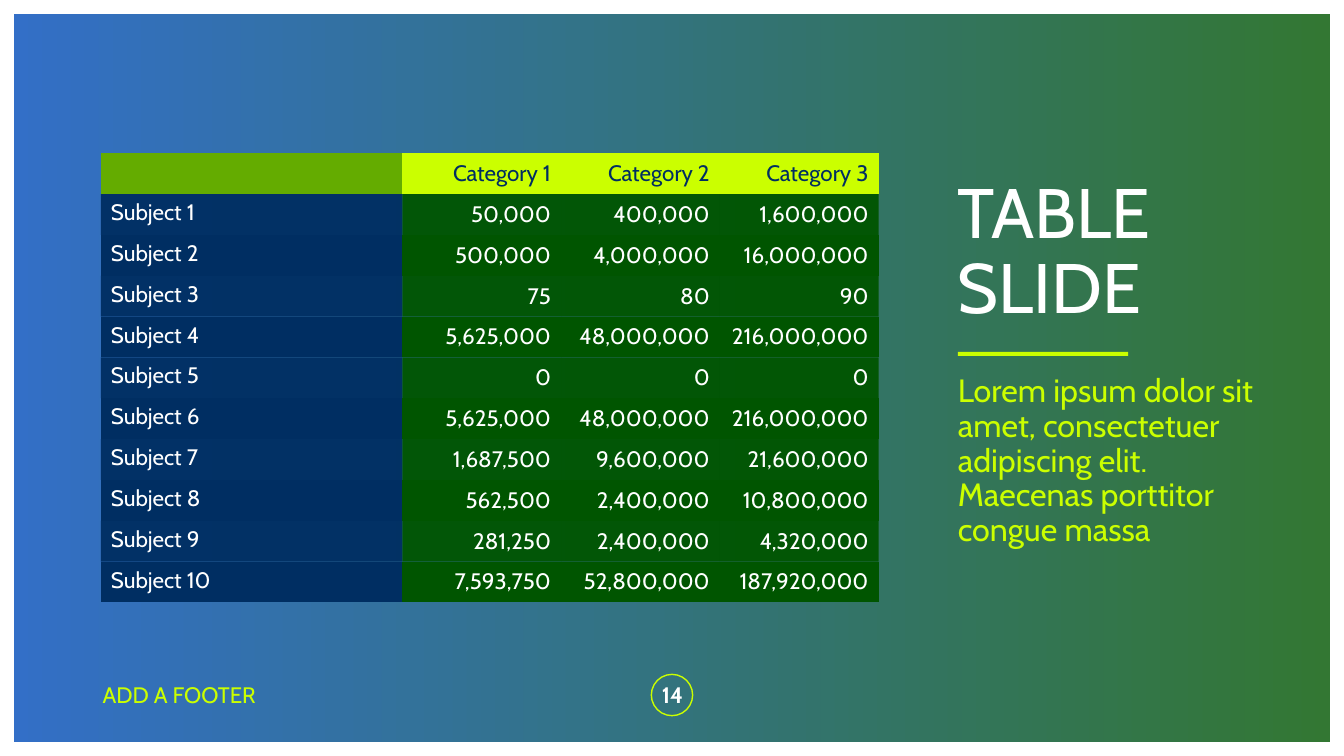
from pptx import Presentation
from pptx.dml.color import RGBColor
from pptx.enum.shapes import MSO_SHAPE as Shape
from pptx.enum.text import MSO_ANCHOR as Anchor, PP_ALIGN as Align
from pptx.oxml.ns import qn
from pptx.util import Inches, Pt
from lxml import etree

COLORS = {"blue": "004CB9", "green": "005500", "navy": "002E62",
          "lime": "CBFF00", "leaf": "64AC00", "white": "FFFFFF"}
NO_TABLE_STYLE = "{2D5ABB26-0587-4C30-8999-92F81FD0307C}"

HEADER = ["", "Category 1", "Category 2", "Category 3"]
VALUES = [
    ["50,000", "400,000", "1,600,000"],
    ["500,000", "4,000,000", "16,000,000"],
    ["75", "80", "90"],
    ["5,625,000", "48,000,000", "216,000,000"],
    ["0", "0", "0"],
    ["5,625,000", "48,000,000", "216,000,000"],
    ["1,687,500", "9,600,000", "21,600,000"],
    ["562,500", "2,400,000", "10,800,000"],
    ["281,250", "2,400,000", "4,320,000"],
    ["7,593,750", "52,800,000", "187,920,000"],
]


class SlideBuilder:
    font = "Cabin"

    def __init__(self, slide):
        self.slide = slide

    def color(self, name):
        return RGBColor.from_string(COLORS[name])

    def set_alpha(self, element, percent):
        for color in element.iter(qn("a:srgbClr")):
            etree.SubElement(color, qn("a:alpha"), val=str(percent * 1000))

    def style(self, paragraph, size, color, align=Align.LEFT, bold=False):
        paragraph.alignment = align
        font = paragraph.font
        for target in [font] + [run.font for run in paragraph.runs]:
            target.name, target.size, target.bold = self.font, Pt(size), bold
            target.color.rgb = self.color(color)

    def shape(self, kind, box, fill=None, line=None):
        shape = self.slide.shapes.add_shape(kind, *map(Inches, box))
        shape.shadow.inherit = False
        if fill:
            shape.fill.solid()
            shape.fill.fore_color.rgb = self.color(fill)
        else:
            shape.fill.background()
        if line:
            shape.line.color.rgb = self.color(line)
            shape.line.width = Pt(1)
        else:
            shape.line.fill.background()
        return shape

    def gradient_panel(self, box, colors, opacity):
        panel = self.shape(Shape.RECTANGLE, box)
        panel.fill.gradient()
        panel.fill.gradient_angle = 0
        for stop, position, color in zip(panel.fill.gradient_stops, (0, 1), colors):
            stop.position = position
            stop.color.rgb = self.color(color)
        self.set_alpha(panel.element.spPr, opacity)

    def text(self, box, text, size, color, align=Align.LEFT, bold=False,
             anchor=Anchor.MIDDLE, side=0.1, spacing=None):
        frame = self.slide.shapes.add_textbox(*map(Inches, box)).text_frame
        frame.word_wrap = True
        frame.vertical_anchor = anchor
        frame.margin_left = frame.margin_right = Inches(side)
        paragraph = frame.paragraphs[0]
        paragraph.text = text
        paragraph.line_spacing = spacing
        self.style(paragraph, size, color, align, bold)

    def cell(self, cell, text, fill, color, align, anchor, opacity=100):
        cell.fill.solid()
        cell.fill.fore_color.rgb = self.color(fill)
        if opacity < 100:
            self.set_alpha(cell.fill._xPr, opacity)
        cell.vertical_anchor = anchor
        paragraph = cell.text_frame.paragraphs[0]
        paragraph.text = text
        self.style(paragraph, 16, color, align)

    def table(self, box, rows, widths):
        frame = self.slide.shapes.add_table(len(rows), len(widths), *map(Inches, box))
        for style_id in frame._element.iter(qn("a:tableStyleId")):
            style_id.text = NO_TABLE_STYLE
        table = frame.table
        table.first_row = table.horz_banding = False
        for column, width in zip(table.columns, widths):
            column.width = Inches(width)
        for r, row in enumerate(rows):
            for c, value in enumerate(row):
                label = c == 0
                if r == 0:
                    fill, color = "leaf" if label else "lime", "navy"
                else:
                    fill, color = "navy" if label else "green", "white"
                self.cell(table.cell(r, c), value, fill, color,
                          Align.LEFT if label else Align.RIGHT,
                          Anchor.TOP if label else Anchor.MIDDLE,
                          95 if r % 2 else 100)


def main():
    deck = Presentation()
    deck.slide_width, deck.slide_height = Inches(13.33), Inches(7.5)
    page = SlideBuilder(deck.slides.add_slide(deck.slide_layouts[6]))

    # Background panel, page number ring and title rule
    page.gradient_panel((0.14, 0.14, 13.05, 7.22), ("blue", "green"), 80)
    page.shape(Shape.OVAL, (6.46, 6.69, 0.41, 0.41), line="lime")
    page.shape(Shape.RECTANGLE, (9.5, 3.49, 1.69, 0.04), fill="lime")

    # Table of subjects by category
    subjects = [[f"Subject {n}", *values] for n, values in enumerate(VALUES, 1)]
    page.table((1, 1.52, 7.72, 4.46), [HEADER] + subjects, [2.99] + [1.575] * 3)

    # Title and description
    page.text((9.5, 1.65, 2.92, 1.73), "TABLE\vSLIDE", 50, "white",
              side=0, spacing=0.9)
    page.text((9.5, 3.67, 3.12, 2.46),
              "Lorem ipsum dolor sit amet, consectetuer adipiscing elit. "
              "Maecenas porttitor congue massa",
              23, "lime", anchor=Anchor.TOP, side=0, spacing=0.9)

    # Footer and page number
    page.text((0.92, 6.69, 3.72, 0.4), "ADD A FOOTER", 16, "lime")
    page.text((6.37, 6.69, 0.6, 0.4), "14", 16, "white", Align.CENTER, bold=True)

    deck.save("out.pptx")


if __name__ == "__main__":
    main()
